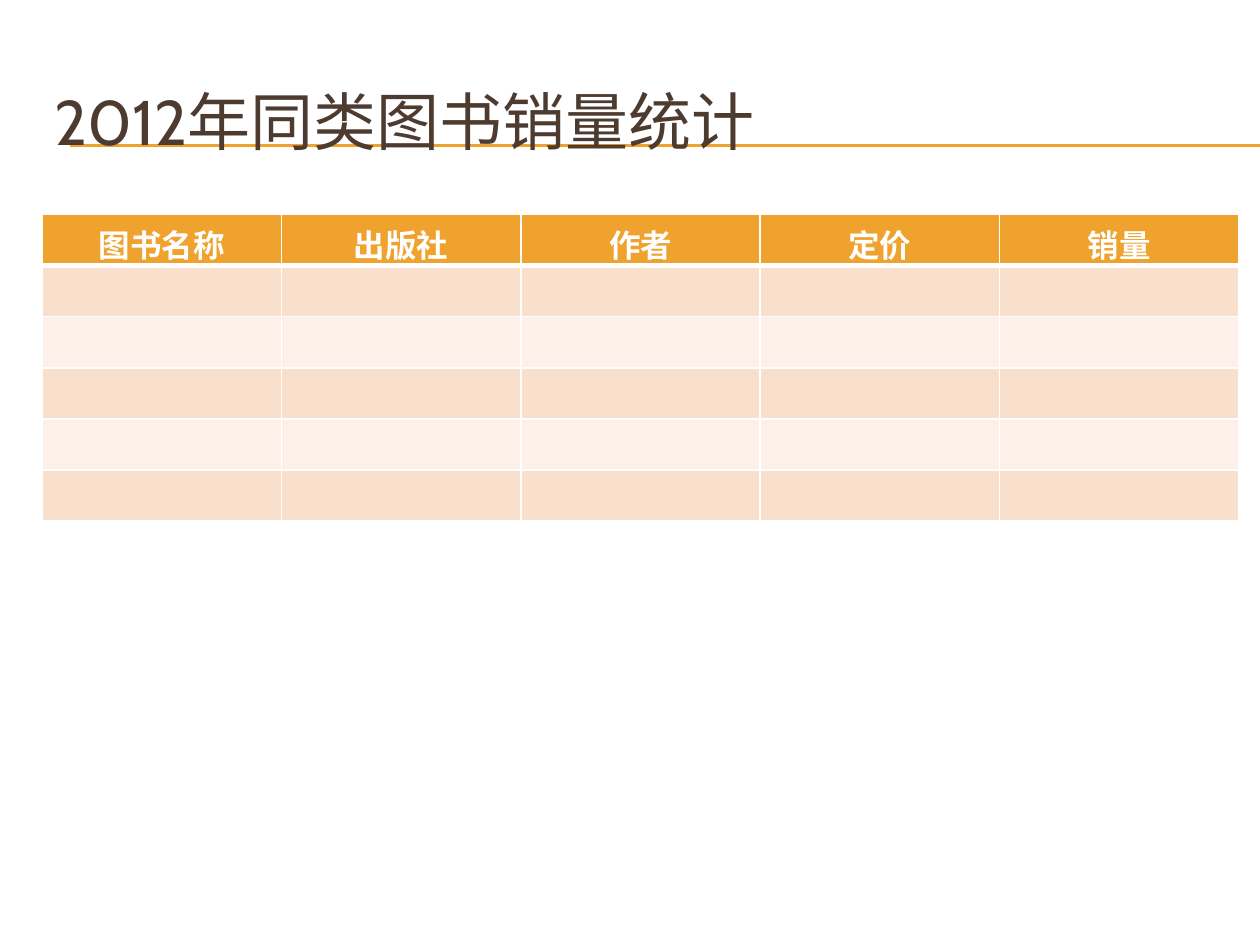
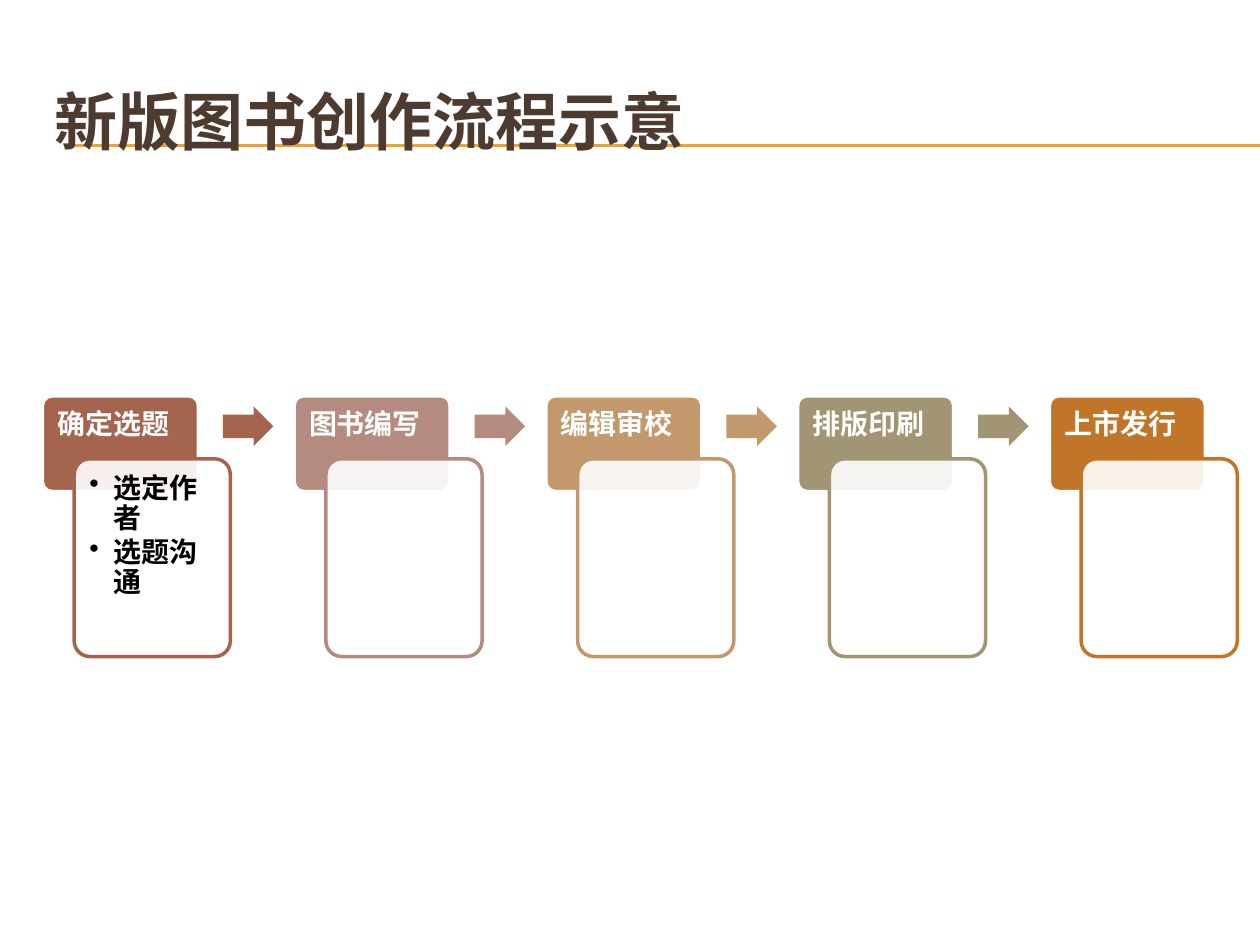
from lxml import etree
from pptx import Presentation
from pptx.dml.color import RGBColor
from pptx.enum import shapes, text
from pptx.oxml.ns import qn
from pptx.util import Pt

FONT = "Cabin"
ACCENT, TITLE, WHITE, BLACK = "F0A22E", "4E3B30", "FFFFFF", "000000"
BANDS = ["F9E0CD", "FCF0E8"]

SALES_TITLE = "2012年同类图书销量统计"
SALES_COLUMNS = ["图书名称", "出版社", "作者", "定价", "销量"]
SALES_ROWS = 5

PROCESS_TITLE = "新版图书创作流程示意"
STEPS = [
    ("确定选题", "A5644E", ["选定作者", "选题沟通"]),
    ("图书编写", "B58B80", []),
    ("编辑审校", "C3986D", []),
    ("排版印刷", "A19574", []),
    ("上市发行", "C17529", []),
]

LEFT, WIDTH = 24, 684
RULE_X, RULE_YS = 40.3, (82.9, 83.6)
TABLE_TOP, ROW_H = 122.6, 29.2
STEP_X, STEP_Y, STEP_PITCH = 24.2, 226.2, 143.85
CARD_W, HEAD_H, BODY_H = 89.2, 54.7, 113
BODY_DX, BODY_DY = 18.2, 36
ARROW_DX, ARROW_DY, ARROW_W, ARROW_H = 103.2, 6.2, 28.8, 22.4


def rgb(color):
    return RGBColor.from_string(color)


def style(p, size, color, bold):
    for r in p.runs:
        r.font.name = FONT
        r.font.size = Pt(size)
        r.font.bold = bold
        r.font.color.rgb = rgb(color)


def add_shape(s, kind, x, y, w, h, fill, line=None, adjust=(0.1,)):
    sp = s.shapes.add_shape(kind, Pt(x), Pt(y), Pt(w), Pt(h))
    sp.shadow.inherit = False
    for i, value in enumerate(adjust):
        sp.adjustments[i] = value
    sp.fill.solid()
    sp.fill.fore_color.rgb = rgb(fill)
    if line:
        sp.line.color.rgb = rgb(line)
        sp.line.width = Pt(2)
    else:
        sp.line.fill.background()
    return sp


def write_card(sp, lines, color, inset):
    tf = sp.text_frame
    tf.word_wrap = True
    tf.vertical_anchor = text.MSO_ANCHOR.TOP
    tf.margin_left = tf.margin_top = tf.margin_right = tf.margin_bottom = Pt(inset)
    tf.text = "\n".join(lines)
    for p in tf.paragraphs:
        p.alignment = text.PP_ALIGN.LEFT
        p.line_spacing = 0.9
        p.space_after = Pt(2.4)
        style(p, 16, color, True)


def add_bullet(p, indent):
    pPr = p._p.get_or_add_pPr()
    pPr.set("marL", str(Pt(indent)))
    pPr.set("indent", str(-Pt(indent)))
    etree.SubElement(pPr, qn("a:buChar"), char="•")


def set_borders(cell, bottom):
    tcPr = cell._tc.get_or_add_tcPr()
    for side, width in (("L", 1), ("R", 1), ("T", 1), ("B", bottom)):
        ln = etree.SubElement(tcPr, qn(f"a:ln{side}"), w=str(Pt(width)))
        fill = etree.SubElement(ln, qn("a:solidFill"))
        etree.SubElement(fill, qn("a:srgbClr"), val=WHITE)


def new_slide(prs, title, bold):
    s = prs.slides.add_slide(prs.slide_layouts[6])
    for y in RULE_YS:
        rule = s.shapes.add_connector(shapes.MSO_CONNECTOR.STRAIGHT, Pt(RULE_X), Pt(y), prs.slide_width, Pt(y))
        rule.line.color.rgb = rgb(ACCENT)
        rule.line.width = Pt(0.75)
        etree.SubElement(rule._element.spPr, qn("a:effectLst"))
    tf = s.shapes.add_textbox(Pt(LEFT), Pt(36), Pt(WIDTH), Pt(66)).text_frame
    tf.word_wrap = True
    tf.vertical_anchor = text.MSO_ANCHOR.MIDDLE
    tf.text = title
    style(tf.paragraphs[0], 36, TITLE, bold)
    return s


def add_sales_table(s):
    rows, cols = SALES_ROWS + 1, len(SALES_COLUMNS)
    table = s.shapes.add_table(rows, cols, Pt(LEFT), Pt(TABLE_TOP), Pt(WIDTH), Pt(ROW_H * rows)).table
    for row in range(rows):
        for col, heading in enumerate(SALES_COLUMNS):
            cell = table.cell(row, col)
            set_borders(cell, 1 if row else 3)
            cell.fill.solid()
            cell.fill.fore_color.rgb = rgb(BANDS[(row - 1) % 2] if row else ACCENT)
            if row == 0:
                cell.text = heading
                p = cell.text_frame.paragraphs[0]
                p.alignment = text.PP_ALIGN.CENTER
                style(p, 18, WHITE, True)


def add_step(s, x, name, color, tasks):
    rounded = shapes.MSO_SHAPE.ROUNDED_RECTANGLE
    head = add_shape(s, rounded, x, STEP_Y, CARD_W, HEAD_H, color, WHITE)
    write_card(head, [name], WHITE, 7)
    body = add_shape(s, rounded, x + BODY_DX, STEP_Y + BODY_DY, CARD_W, BODY_H, WHITE, color)
    etree.SubElement(body._element.spPr.find(".//" + qn("a:srgbClr")), qn("a:alpha"), val="90000")
    if tasks:
        write_card(body, tasks, BLACK, 6)
        for p in body.text_frame.paragraphs:
            add_bullet(p, 13.7)


def add_process(s):
    for i, (name, color, tasks) in enumerate(STEPS):
        x = STEP_X + i * STEP_PITCH
        add_step(s, x, name, color, tasks)
        if i < len(STEPS) - 1:
            add_shape(s, shapes.MSO_SHAPE.RIGHT_ARROW, x + ARROW_DX, STEP_Y + ARROW_DY,
                      ARROW_W, ARROW_H, color, adjust=(0.6, 0.5))


def main():
    prs = Presentation()
    prs.slide_width, prs.slide_height = Pt(720), Pt(540)
    add_sales_table(new_slide(prs, SALES_TITLE, False))
    add_process(new_slide(prs, PROCESS_TITLE, True))
    prs.save("out.pptx")


if __name__ == "__main__":
    main()
